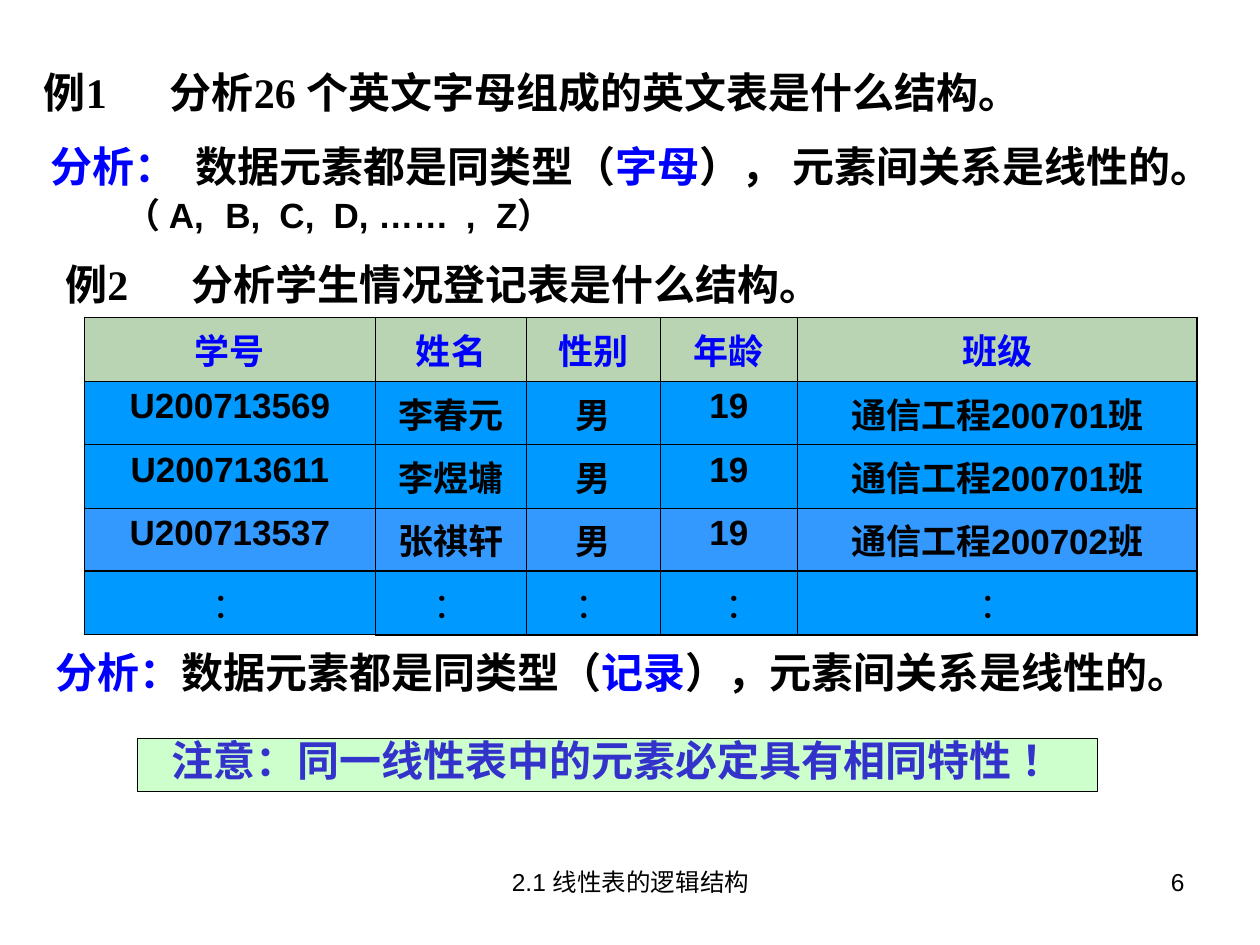
from lxml.etree import SubElement
from pptx import Presentation
from pptx.dml.color import RGBColor
from pptx.enum.shapes import MSO_SHAPE
from pptx.enum.text import MSO_ANCHOR as Anchor, PP_ALIGN as Align
from pptx.oxml.ns import qn
from pptx.util import Inches, Pt

BLACK = RGBColor(0x00, 0x00, 0x00)
BLUE = RGBColor(0x00, 0x00, 0xFF)
INDIGO = RGBColor(0x33, 0x33, 0xCC)
MINT = RGBColor(0xCC, 0xFF, 0xCC)
SAGE = RGBColor(0xB8, 0xD4, 0xB2)
SKY = RGBColor(0x00, 0x99, 0xFF)
AZURE = RGBColor(0x33, 0x99, 0xFF)

SANS, SERIF, CJK = "Arial", "Times New Roman", "Noto Sans CJK SC"
THIN, MEDIUM = 0.45, 1.08

HEADING = dict(size=24, font=SERIF, bold=True)
SMALL = dict(size=14, font=SANS, bold=False)
LETTERS = dict(size=20, font=SANS, bold=True)

TEXTS = [
    ((0.25, 0.48, 8.1, 0.5), [("例1\t分析26 个英文字母组成的英文表是什么结构。", BLACK)],
     HEADING, dict(tabs=[1], wrap=False)),
    ((0.3, 1.07, 9.58, 0.5),
     [("分析：\t", BLUE), ("数据元素都是同类型（", BLACK), ("字母", BLUE),
      ("）， 元素间关系是线性的。", BLACK)],
     HEADING, dict(tabs=[1.15])),
    ((0.9, 1.55, 7.33, 0.42), [("（ A,\tB,\tC,\tD, ……\t,\tZ）", BLACK)],
     LETTERS, dict(tabs=[0.79, 1.22, 1.65, 2.7, 2.94], spacing=0.8)),
    ((0.42, 2, 8.07, 0.5), [("例2\t分析学生情况登记表是什么结构。", BLACK)],
     HEADING, dict(tabs=[1])),
    ((0.34, 5.16, 9.2, 0.42),
     [("分析：", BLUE), ("数据元素都是同类型（", BLACK), ("记录", BLUE),
      ("），元素间关系是线性的。", BLACK)],
     HEADING, dict(align=Align.CENTER, spacing=0.8, wrap=False)),
    ((3.42, 6.83, 3.17, 0.52), [("2.1 线性表的逻辑结构", BLACK)],
     SMALL, dict(align=Align.CENTER)),
    ((7.17, 6.83, 2.33, 0.52), [("6", BLACK)], SMALL, dict(align=Align.RIGHT)),
]

NOTE_PLACE = (1.09, 5.86, 7.62, 0.42)
NOTE = [("注意：同一线性表中的元素必定具有相同特性 ！", INDIGO)]

TABLE_PLACE = (0.67, 2.52, 8.83, 2.5)
COLUMNS = [2.31, 1.2, 1.06, 1.09, 3.17]
ROWS = [
    (SAGE, ["学号", "姓名", "性别", "年龄", "班级"]),
    (SKY, ["U200713569", "李春元", "男", "19", "通信工程200701班"]),
    (SKY, ["U200713611", "李煜墉", "男", "19", "通信工程200701班"]),
    (AZURE, ["U200713537", "张祺轩", "男", "19", "通信工程200702班"]),
    (SKY, ["："] * 5),
]
LAST_ROW, LAST_COLUMN, AGE = len(ROWS) - 1, len(COLUMNS) - 1, 3


def write(frame, spans, style, align=Align.LEFT, spacing=None, tabs=(), wrap=True):
    frame.word_wrap = wrap
    para = frame.paragraphs[0]
    para.alignment = align
    if spacing:
        para.line_spacing = spacing
    if tabs:
        stops = SubElement(para._p.get_or_add_pPr(), qn("a:tabLst"))
        for stop in tabs:
            SubElement(stops, qn("a:tab"), pos=str(Inches(stop)), algn="l")
    for text, color in spans:
        span = para.add_run()
        span.text = text
        span.font.size = Pt(style["size"])
        span.font.bold = style["bold"]
        span.font.color.rgb = color
        span.font.name = style["font"]
        SubElement(span._r.get_or_add_rPr(), qn("a:ea"), typeface=CJK)


def add_borders(cell, row, column):
    widths = {
        "a:lnL": MEDIUM if column == 0 else THIN,
        "a:lnR": MEDIUM if column == LAST_COLUMN else THIN,
        "a:lnT": MEDIUM if row in (0, LAST_ROW) else THIN,
        "a:lnB": MEDIUM if row == LAST_ROW - 1 or (row == LAST_ROW and column) else THIN,
    }
    properties = cell._tc.get_or_add_tcPr()
    for tag, width in widths.items():
        line = SubElement(properties, qn(tag), w=str(Pt(width)))
        fill = SubElement(line, qn("a:solidFill"))
        SubElement(fill, qn("a:srgbClr"), val=str(BLACK))


def add_student_table(page):
    table = page.shapes.add_table(
        len(ROWS), len(COLUMNS), *map(Inches, TABLE_PLACE)).table
    for column, width in zip(table.columns, COLUMNS):
        column.width = Inches(width)
    for r, (color, values) in enumerate(ROWS):
        header, dots = r == 0, r == LAST_ROW
        style = dict(size=20, font=CJK if header or dots else SANS, bold=not dots)
        for c, value in enumerate(values):
            cell = table.cell(r, c)
            add_borders(cell, r, c)
            cell.fill.solid()
            cell.fill.fore_color.rgb = color
            cell.vertical_anchor = Anchor.MIDDLE if header else Anchor.TOP
            if dots and c == AGE:
                cell.margin_left = Inches(0.33)
            write(cell.text_frame, [(value, BLUE if header else BLACK)],
                  style, align=Align.CENTER)


def main():
    deck = Presentation()
    deck.slide_width, deck.slide_height = Inches(10), Inches(7.5)
    page = deck.slides.add_slide(deck.slide_layouts[6])

    add_student_table(page)
    for place, spans, style, layout in TEXTS:
        box = page.shapes.add_textbox(*map(Inches, place))
        write(box.text_frame, spans, style, **layout)

    note = page.shapes.add_shape(MSO_SHAPE.RECTANGLE, *map(Inches, NOTE_PLACE))
    note.shadow.inherit = False
    note.fill.solid()
    note.fill.fore_color.rgb = MINT
    note.line.color.rgb = BLACK
    note.line.width = Pt(0.75)
    note.text_frame.vertical_anchor = Anchor.TOP
    write(note.text_frame, NOTE, HEADING, align=Align.CENTER, spacing=0.8)

    deck.save("out.pptx")


if __name__ == "__main__":
    main()
